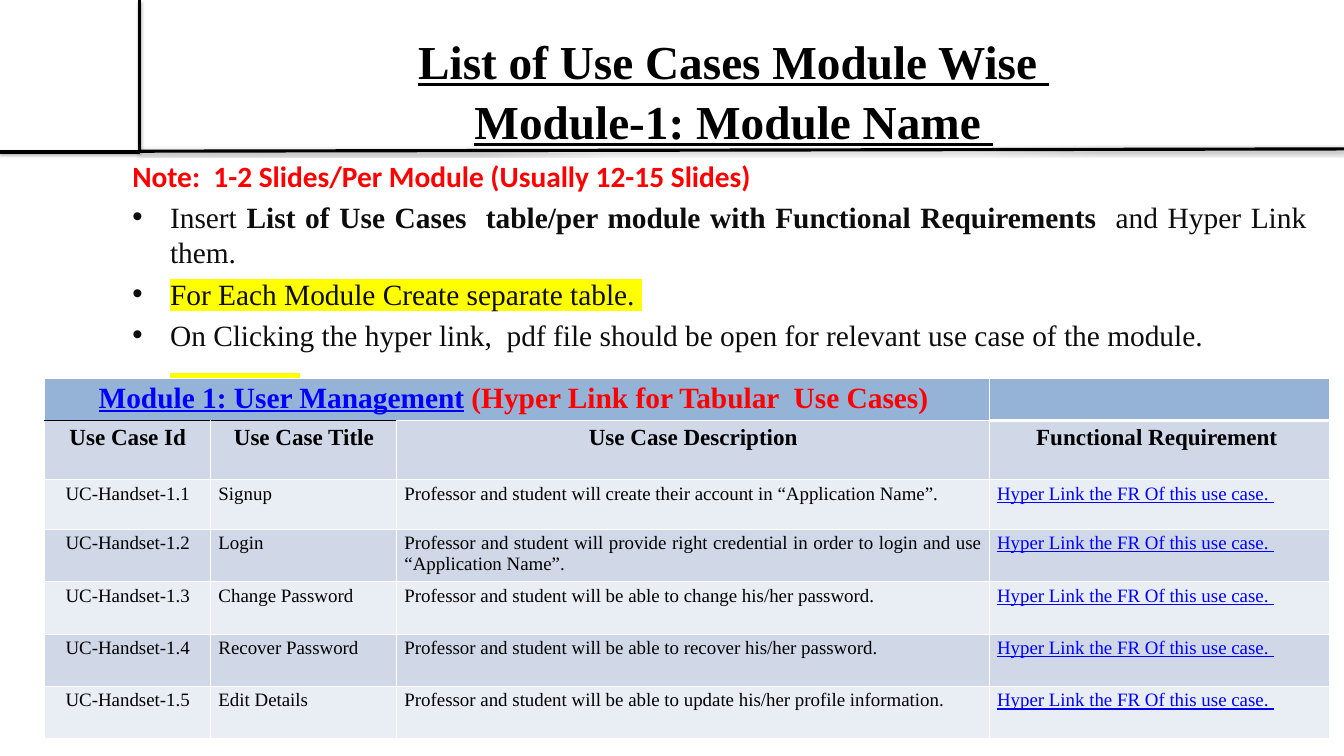
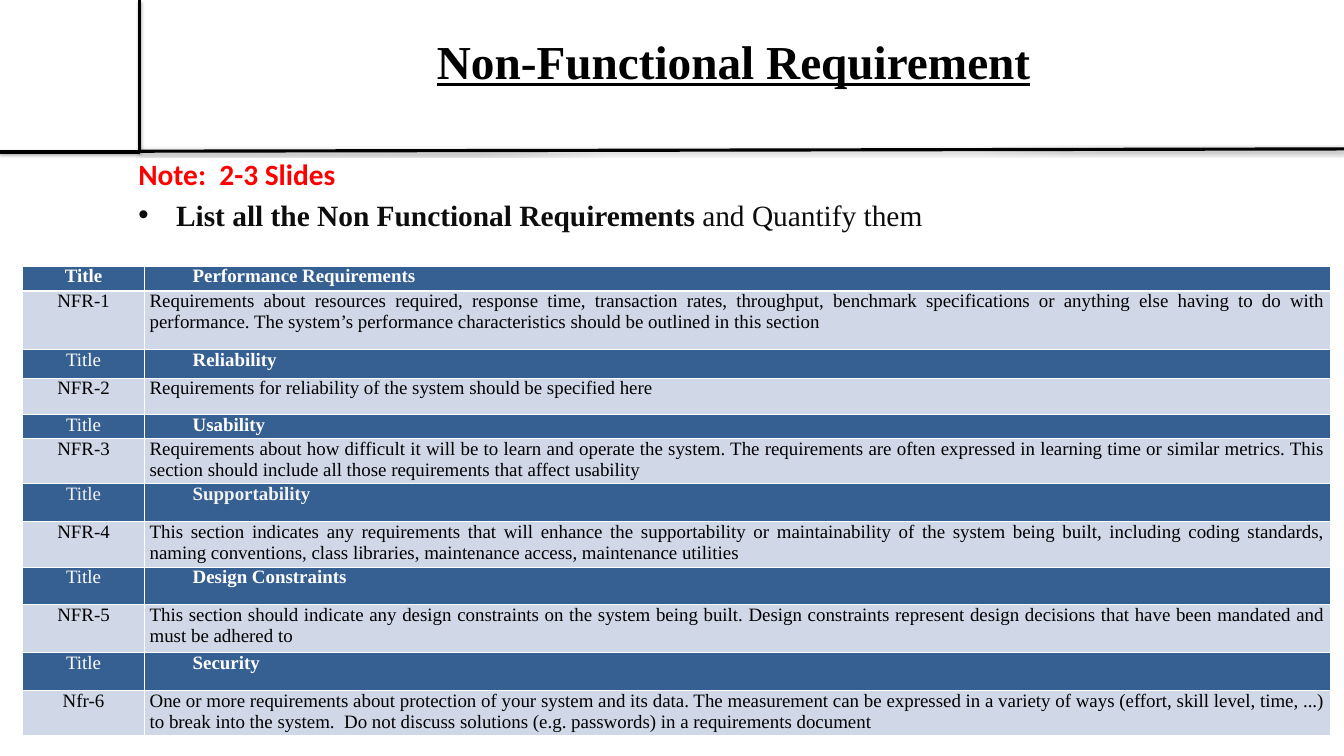
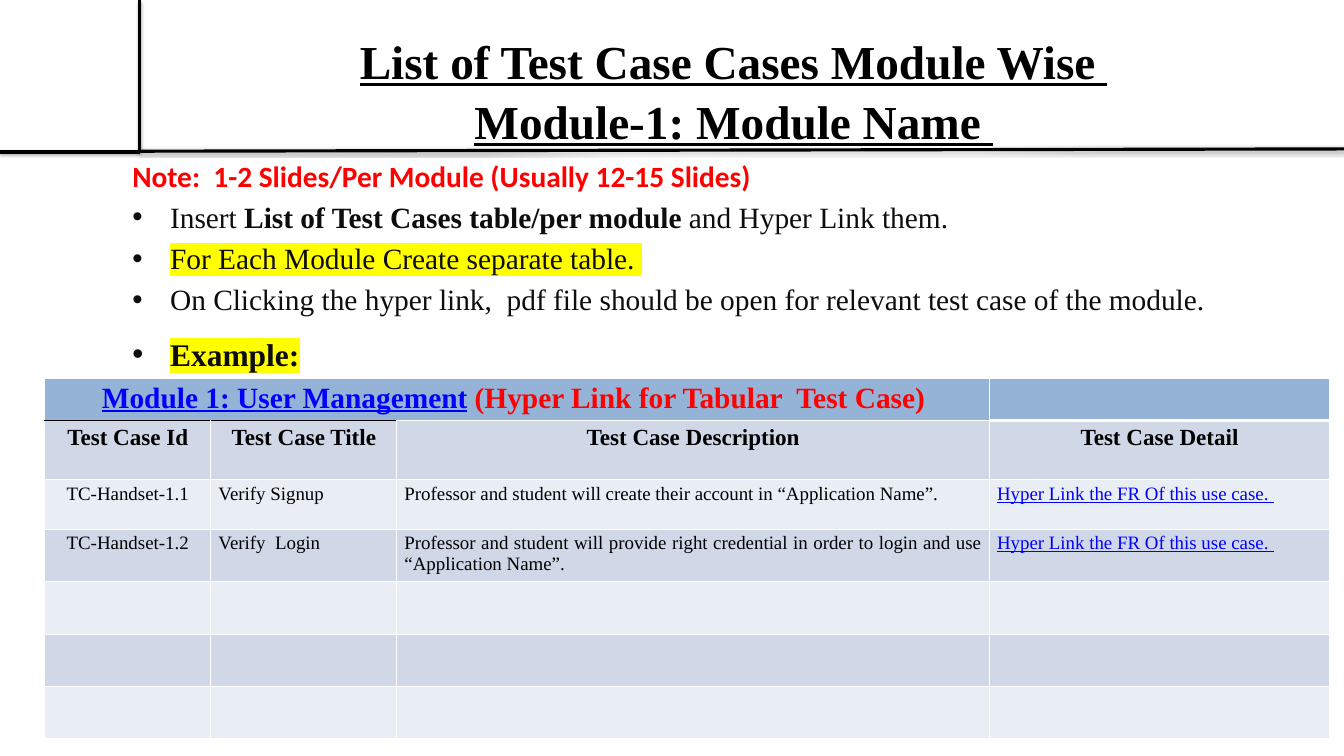
from lxml import etree
from pptx import Presentation
from pptx.dml.color import RGBColor
from pptx.enum.shapes import MSO_CONNECTOR
from pptx.enum.text import MSO_ANCHOR, PP_ALIGN
from pptx.oxml.ns import qn
from pptx.util import Inches, Pt

LEFT, CENTER, JUST = PP_ALIGN.LEFT, PP_ALIGN.CENTER, PP_ALIGN.JUSTIFY
TOP = MSO_ANCHOR.TOP
STRAIGHT = MSO_CONNECTOR.STRAIGHT

SERIF, SANS = "Times New Roman", "Calibri"
COLORS = {
    "black": "000000", "ink": "0D0D0D", "white": "FFFFFF", "pale": "F2F2F2",
    "red": "FF0000", "link": "0000FF", "glow": "FFFF00",
    "head": "95B3D7", "dark": "D0D8E8", "light": "E9EDF4", "navy": "376092",
}

FRAME = [(1.85, 0, 1.85, 2.01), (0, 2.01, 1.85, 2.01), (1.85, 2, 17.78, 1.97)]
CASE_COLS = [2.2, 2.46, 7.84, 4.5]
CASE_ROWS = [0.56, 0.78, 0.65] + [0.69] * 4
CASE_ALIGN = [CENTER, LEFT, JUST, JUST]
NEED_COLS = [1.61, 15.69]
NEED_ROWS = [0.33, 0.77, 0.38, 0.48, 0.32, 0.5, 0.5, 0.5, 0.5, 0.63, 0.5, 0.5]

CASE_NOTE = "Note:  1-2 Slides/Per Module (Usually 12-15 Slides) "
FR_LINK = "Hyper Link the FR Of this use case. "
SIGNUP = "Professor and student will create their account in “Application Name”."
LOGIN = ("Professor and student will provide right credential in order to "
         "login and use “Application Name”.")

USE_HEADS = ["Use Case Id", "Use Case Title", "Use Case Description",
             "Functional Requirement "]
USE_CASES = [
    ("Signup", SIGNUP),
    ("Login", LOGIN),
    ("Change Password",
     "Professor and student will be able to change his/her password."),
    ("Recover Password",
     "Professor and student will be able to recover his/her password."),
    ("Edit Details",
     "Professor and student will be able to update his/her profile information."),
]
TEST_HEADS = ["Test Case Id", "Test Case Title", "Test Case Description",
              "Test Case Detail"]
TEST_CASES = [("Verify Signup", SIGNUP), ("Verify  Login", LOGIN)]

NEEDS = [
    ("Performance Requirements", "NFR-1",
     "Requirements about resources required, response time, transaction rates, "
     "throughput, benchmark specifications or anything else having to do with "
     "performance. The system’s performance characteristics should be outlined "
     "in this section"),
    ("Reliability", "NFR-2",
     "Requirements for reliability of the system should be specified here"),
    ("Usability", "NFR-3",
     "Requirements about how difficult it will be to learn and operate the "
     "system. The requirements are often expressed in learning time or similar "
     "metrics. This section should include all those requirements that affect "
     "usability"),
    ("Supportability", "NFR-4",
     "This section indicates any requirements that will enhance the "
     "supportability or maintainability of the system being built, including "
     "coding standards, naming conventions, class libraries, maintenance "
     "access, maintenance utilities"),
    ("Design Constraints", "NFR-5",
     "This section should indicate any design constraints on the system being "
     "built. Design constraints represent design decisions that have been "
     "mandated and must be adhered to"),
    ("Security", "Nfr-6",
     "One or more requirements about protection of your system and its data. "
     "The measurement can be expressed in a variety of ways (effort, skill "
     "level, time, ...) to break into the system.  Do not discuss solutions "
     "(e.g. passwords) in a requirements document"),
]


def rgb(name):
    return RGBColor.from_string(COLORS[name])


def add_color(parent, name):
    """Append an a:srgbClr element and return it."""
    return etree.SubElement(parent, qn("a:srgbClr"), val=COLORS[name])


def style(run, size, color="black", bold=False, line=False, face=SERIF,
          glow=False):
    font = run.font
    font.size, font.bold, font.name = Pt(size), bold, face
    font.underline = line
    font.color.rgb = rgb(color)
    if glow:
        mark = etree.Element(qn("a:highlight"))
        add_color(mark, "glow")
        run._r.rPr.find(qn("a:solidFill")).addnext(mark)


def write(par, runs, align=LEFT):
    """Fill a paragraph from (text, style options) pairs."""
    par.alignment = align
    for text, look in runs:
        run = par.add_run()
        run.text = text
        style(run, **look)


def indent(par, left, first=0):
    props = par._p.get_or_add_pPr()
    props.set("marL", str(Inches(left)))
    props.set("indent", str(Inches(first)))
    return props


def add_bullet(par):
    props = indent(par, 0.5, -0.5)
    etree.SubElement(props, qn("a:buFont"), typeface="Arial")
    etree.SubElement(props, qn("a:buChar"), char="•")


def add_box(slide, left, top, width, height):
    box = slide.shapes.add_textbox(Inches(left), Inches(top), Inches(width),
                                   Inches(height))
    frame = box.text_frame
    frame.word_wrap = True
    frame.vertical_anchor = TOP
    frame.margin_left = frame.margin_right = Inches(0.11)
    frame.margin_top = frame.margin_bottom = Inches(0.06)
    return frame


def add_rule(slide, x1, y1, x2, y2):
    rule = slide.shapes.add_connector(STRAIGHT, Inches(x1), Inches(y1),
                                      Inches(x2), Inches(y2))
    rule.line.color.rgb = rgb("black")
    rule.line.width = Pt(3)
    effects = etree.SubElement(rule._element.spPr, qn("a:effectLst"))
    shade = etree.SubElement(effects, qn("a:outerShdw"),
                             blurRad=str(Pt(3.1)), dist=str(Pt(1.8)),
                             dir="5400000", rotWithShape="0")
    etree.SubElement(add_color(shade, "black"), qn("a:alpha"), val="35000")


def add_title(slide, text):
    frame = add_box(slide, 2.94, 0.33, 13.53, 1.25)
    frame.text = text
    for par in frame.paragraphs:
        par.alignment = CENTER
        par.line_spacing = 1.05
        for run in par.runs:
            style(run, 45, bold=True, line=True)


def start_slide(deck, title):
    slide = deck.slides.add_slide(deck.slide_layouts[6])
    for ends in FRAME:
        add_rule(slide, *ends)
    add_title(slide, title)
    return slide


def add_notes(slide, place, note, points):
    """Red note line, then bullets given as (runs, space before) pairs."""
    frame = add_box(slide, *place)
    look = dict(size=28, color="red", bold=True, face=SANS)
    first = frame.paragraphs[0]
    write(first, [(note, look)], JUST)
    first.space_before = Pt(5.6)
    for runs, gap in points:
        par = frame.add_paragraph()
        write(par, runs, JUST)
        par.space_before = Pt(gap)
        add_bullet(par)


def set_edges(cell, **edges):
    """Draw all four cell borders; edges maps L, R, T, B to (color, points)."""
    props = cell._tc.get_or_add_tcPr()
    for spot, side in enumerate("LRTB"):
        color, width = edges.get(side, ("white", 1))
        edge = etree.Element(qn("a:ln" + side), w=str(Pt(width)))
        add_color(etree.SubElement(edge, qn("a:solidFill")), color)
        props.insert(spot, edge)


def paint(cell, color, **edges):
    cell.fill.solid()
    cell.fill.fore_color.rgb = rgb(color)
    set_edges(cell, **edges)


def add_grid(slide, left, top, cols, rows):
    shape = slide.shapes.add_table(len(rows), len(cols), Inches(left),
                                   Inches(top), Inches(sum(cols)),
                                   Inches(sum(rows)))
    grid = shape.table
    grid.first_row = grid.horz_banding = False
    for col, width in zip(grid.columns, cols):
        col.width = Inches(width)
    for row, height in zip(grid.rows, rows):
        row.height = Inches(height)
    return grid


def put(cell, text, align, **look):
    par = cell.text_frame.paragraphs[0]
    write(par, [(text, look)], align)
    return par


def add_cases(slide, kind, heads, prefix, cases):
    grid = add_grid(slide, 0.59, 5, CASE_COLS, CASE_ROWS)
    for col in range(4):
        base = ("black", 1) if col < 2 else ("white", 1 if col == 2 else 3)
        paint(grid.cell(0, col), "head", B=base)
        cap = ("black" if col < 2 else "white", 3 if col == 3 else 1)
        for row in range(1, len(CASE_ROWS)):
            edges = {"T": cap} if row == 1 else {}
            paint(grid.cell(row, col), "dark" if row % 2 else "light", **edges)
        put(grid.cell(1, col), heads[col], CENTER, size=22, bold=True)

    grid.cell(0, 0).merge(grid.cell(0, 2))
    big = dict(size=28, bold=True)
    write(grid.cell(0, 0).text_frame.paragraphs[0], [
        ("Module 1: User Management", dict(big, color="link", line=True)),
        (" ", big),
        (f"(Hyper Link for Tabular  {kind}) ", dict(big, color="red")),
    ], CENTER)

    for num, (name, about) in enumerate(cases, 1):
        words = [f"{prefix}-Handset-1.{num}", name, about, FR_LINK]
        for col, text in enumerate(words):
            link = col == 3
            put(grid.cell(num + 1, col), text, CASE_ALIGN[col], size=18,
                color="link" if link else "black", line=link)


def case_slide(deck, title, insert, topic, table):
    slide = start_slide(deck, title + "\nModule-1: Module Name ")
    plain = dict(size=28, color="ink")
    lead, bold, rest = insert
    add_notes(slide, (1.64, 2.03, 15.75, 7.64), CASE_NOTE, [
        ([(lead, plain), (bold, dict(plain, bold=True)), (rest, plain)], 5.6),
        ([("For Each Module Create separate table. ",
           dict(plain, glow=True))], 5.6),
        ([("On Clicking the hyper link,  pdf file should be open for relevant "
           f"{topic} of the module. ", plain)], 5.6),
        ([("Example:", dict(plain, size=30, bold=True, glow=True))], 17),
    ])
    add_cases(slide, *table)


def need_slide(deck):
    slide = start_slide(deck, "Non-Functional Requirement")
    plain = dict(size=28, color="ink")
    add_notes(slide, (1.72, 2, 15.46, 6.67), "Note:  2-3 Slides", [
        ([("List all the Non Functional Requirements ",
           dict(plain, bold=True)), ("and Quantify them ", plain)], 5.6),
    ])
    grid = add_grid(slide, 0.3, 3.52, NEED_COLS, NEED_ROWS)
    for cell in grid.iter_cells():
        cell.margin_left = cell.margin_right = Inches(0.07)
        cell.margin_top = cell.margin_bottom = 0
    for num, (name, code, about) in enumerate(NEEDS):
        top, low = 2 * num, 2 * num + 1
        thick = ("white", 1 if num else 3)
        for col in range(2):
            paint(grid.cell(top, col), "navy", B=thick)
            paint(grid.cell(low, col), "dark", T=thick)
        tone = "pale" if name == "Supportability" else "white"
        put(grid.cell(top, 0), "Title", CENTER, size=18, color=tone,
            bold=num == 0)
        par = put(grid.cell(top, 1), name, LEFT, size=18, color=tone, bold=True)
        par.level = 1
        indent(par, 0.57)
        put(grid.cell(low, 0), code, CENTER, size=18)
        put(grid.cell(low, 1), about, JUST, size=18)


def main():
    deck = Presentation()
    deck.slide_width, deck.slide_height = Inches(17.78), Inches(10)
    case_slide(
        deck, "List of Use Cases Module Wise ",
        ("Insert ", "List of Use Cases  table/per module with Functional "
         "Requirements  ", "and Hyper Link them."),
        "use case", ("Use Cases", USE_HEADS, "UC", USE_CASES))
    need_slide(deck)
    case_slide(
        deck, "List of Test Case Cases Module Wise ",
        ("Insert ", "List of Test Cases table/per module ",
         "and Hyper Link them."),
        "test case", ("Test Case", TEST_HEADS, "TC", TEST_CASES))
    deck.save("out.pptx")


if __name__ == "__main__":
    main()
